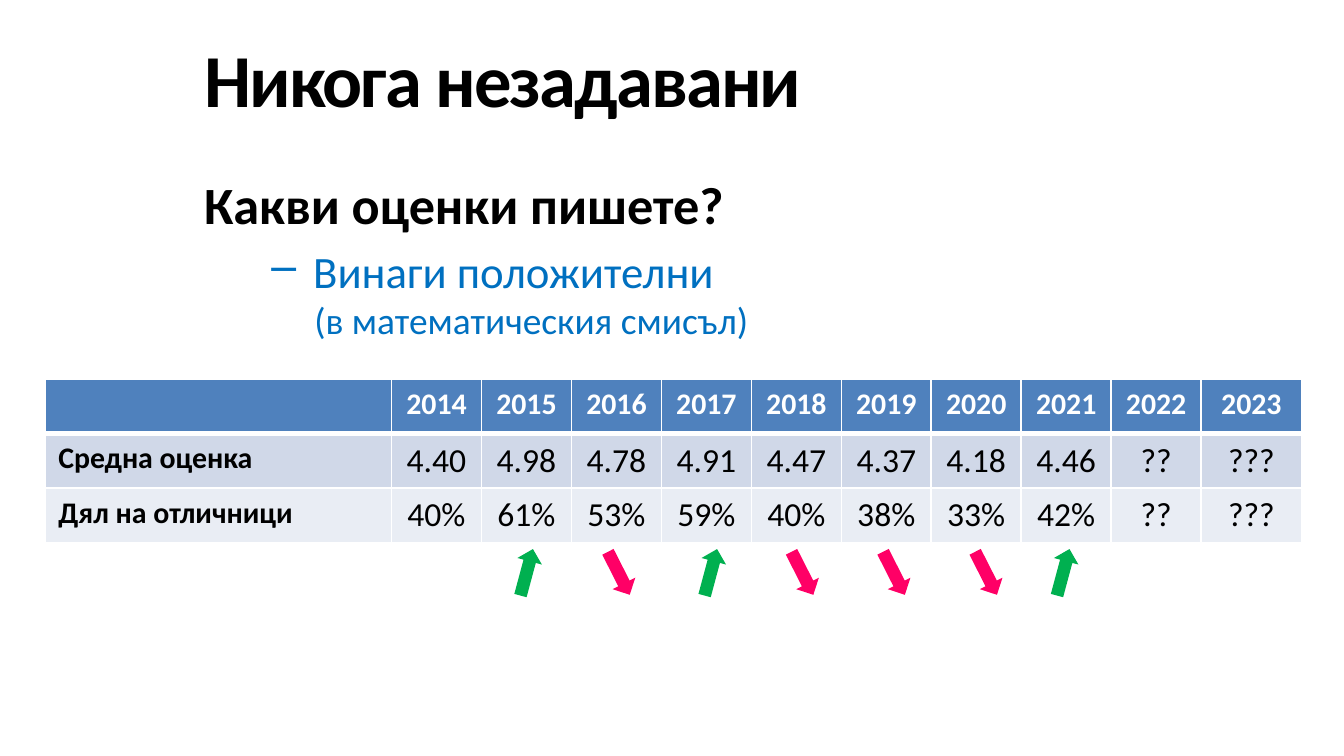
from lxml import etree
from pptx import Presentation
from pptx.dml.color import RGBColor
from pptx.enum.shapes import MSO_SHAPE
from pptx.enum.text import MSO_ANCHOR, PP_ALIGN
from pptx.oxml.ns import qn
from pptx.util import Cm, Pt

ARROW = MSO_SHAPE.RIGHT_ARROW
MIDDLE, TOP = MSO_ANCHOR.MIDDLE, MSO_ANCHOR.TOP
CENTER, LEFT = PP_ALIGN.CENTER, PP_ALIGN.LEFT

# Content
TITLE = "Никога незадавани"
QUESTION = "Какви оценки пишете?"
ANSWER = "Винаги положителни"
REMARK = "(в математическия смисъл)"
ROWS = [
    ["", "2014", "2015", "2016", "2017", "2018", "2019", "2020", "2021", "2022", "2023"],
    ["Средна оценка", "4.40", "4.98", "4.78", "4.91", "4.47", "4.37", "4.18", "4.46", "??", "???"],
    ["Дял на отличници", "40%", "61%", "53%", "59%", "40%", "38%", "33%", "42%", "??", "???"],
]
ROW_FILLS = ["4F81BD", "D0D8E8", "E9EDF4"]
COL_WIDTHS = [6.55] + [1.7] * 9 + [1.9]
ROW_HEIGHT = 1.03
# Change from the year before: left edge and direction
TRENDS = [(9.5, "up"), (11.24, "down"), (12.98, "up"), (14.71, "down"),
          (16.44, "down"), (18.18, "down"), (19.64, "up")]
# Direction: rotation, top, colour
ARROWS = {"up": (285, 10.57, "00B050"), "down": (63.1, 10.59, "FF0066")}


def rgb(color):
    return RGBColor.from_string(color)


def write(p, text, size=16, color="000000", bold=False, align=LEFT,
          before=0, left=0, hang=0, bullet=None, spacing=None):
    pPr = p._p.get_or_add_pPr()
    pPr.set("marL", str(Cm(left)))
    pPr.set("indent", str(-Cm(hang)))
    p.alignment = align
    p.space_before = Pt(before)
    if bullet:
        etree.SubElement(pPr, qn("a:buChar"), char=bullet)
    r = p.add_run()
    r.text = text
    r.font.name = "Calibri"
    r.font.size = Pt(size)
    r.font.bold = bold
    r.font.color.rgb = rgb(color)
    if spacing:
        r._r.get_or_add_rPr().set("spc", str(spacing * 100))


def add_box(s, left, top, width, height, anchor):
    tf = s.shapes.add_textbox(Cm(left), Cm(top), Cm(width), Cm(height)).text_frame
    tf.word_wrap = True
    tf.vertical_anchor = anchor
    return tf


def set_borders(cell, **widths):
    tcPr = cell._tc.get_or_add_tcPr()
    for side in "LRTB":
        ln = etree.SubElement(tcPr, qn("a:ln" + side), w=str(Pt(widths.get(side, 1))))
        fill = etree.SubElement(ln, qn("a:solidFill"))
        etree.SubElement(fill, qn("a:srgbClr"), val="FFFFFF")


prs = Presentation()
prs.slide_width, prs.slide_height = Cm(25.4), Cm(14.28)
s = prs.slides.add_slide(prs.slide_layouts[6])

# Title
tf = add_box(s, 3.61, 0.38, 21.79, 2.16, MIDDLE)
write(tf.paragraphs[0], TITLE, size=40, bold=True, spacing=-1)

# Question and answer
tf = add_box(s, 3.61, 3.12, 21.79, 10.36, TOP)
write(tf.paragraphs[0], QUESTION, size=28, bold=True)
write(tf.add_paragraph(), ANSWER, size=24, color="0070C0", before=4.8,
      left=2.06, hang=0.79, bullet="–")
write(tf.add_paragraph(), REMARK, size=20, color="0070C0", left=2.08)

# Table of grades
table = s.shapes.add_table(len(ROWS), len(COL_WIDTHS), Cm(0.85), Cm(7.16),
                           Cm(sum(COL_WIDTHS)), Cm(ROW_HEIGHT * len(ROWS))).table
for col, width in zip(table.columns, COL_WIDTHS):
    col.width = Cm(width)
for i, (row, color) in enumerate(zip(ROWS, ROW_FILLS)):
    table.rows[i].height = Cm(ROW_HEIGHT)
    for j, text in enumerate(row):
        cell = table.cell(i, j)
        set_borders(cell, T=3 if i == 1 else 1, B=3 if i == 0 else 1)
        cell.fill.solid()
        cell.fill.fore_color.rgb = rgb(color)
        if text:
            head = i == 0 or j == 0
            write(cell.text_frame.paragraphs[0], text, size=16 if head else 18,
                  bold=head, color="000000" if i else "FFFFFF",
                  align=CENTER if j else LEFT)

# Trend arrows
for left, direction in TRENDS:
    angle, top, color = ARROWS[direction]
    sp = s.shapes.add_shape(ARROW, Cm(left), Cm(top), Cm(0.91), Cm(0.48))
    sp.rotation = angle
    sp.shadow.inherit = False
    sp.fill.solid()
    sp.fill.fore_color.rgb = rgb(color)
    sp.line.fill.background()

prs.save("out.pptx")
